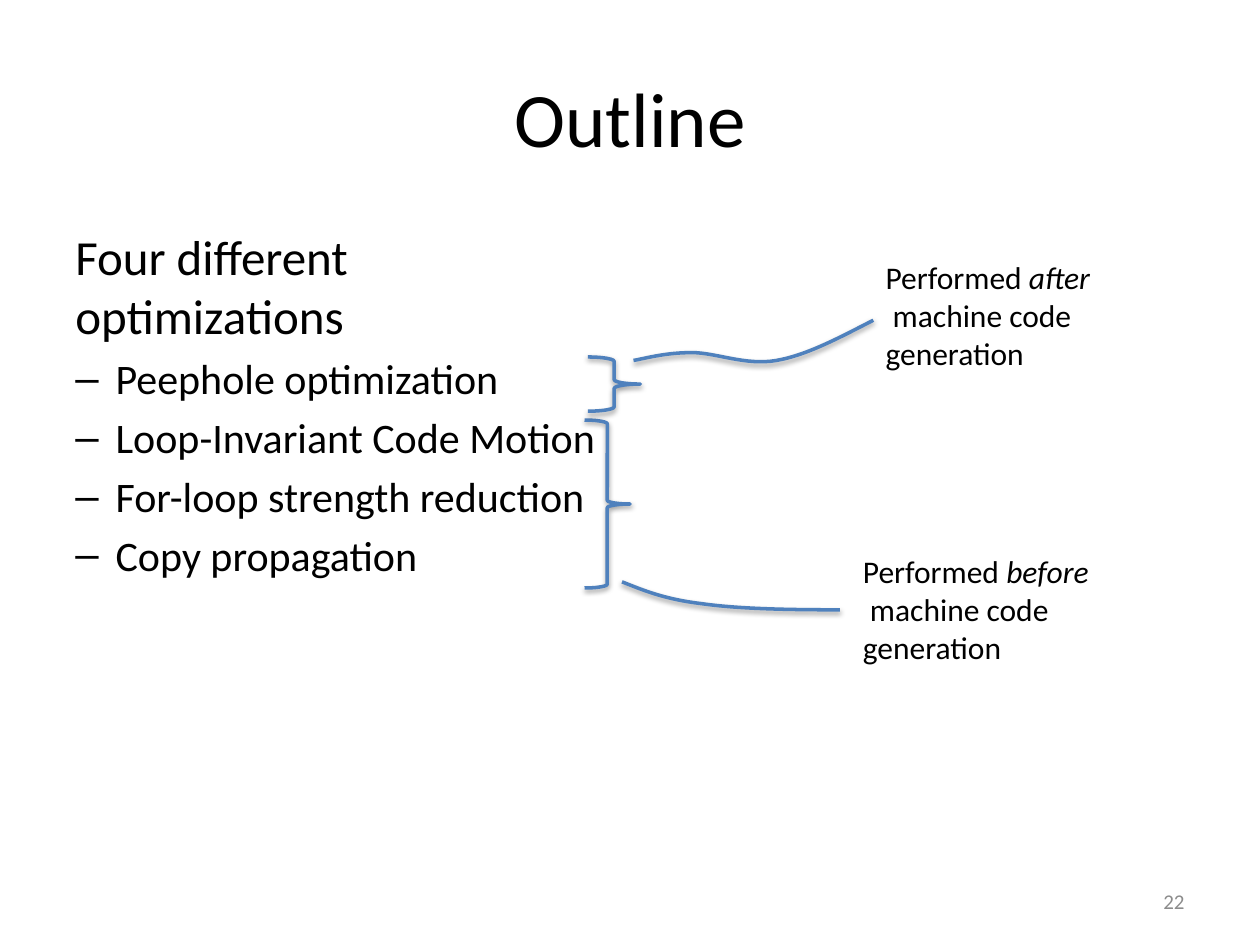
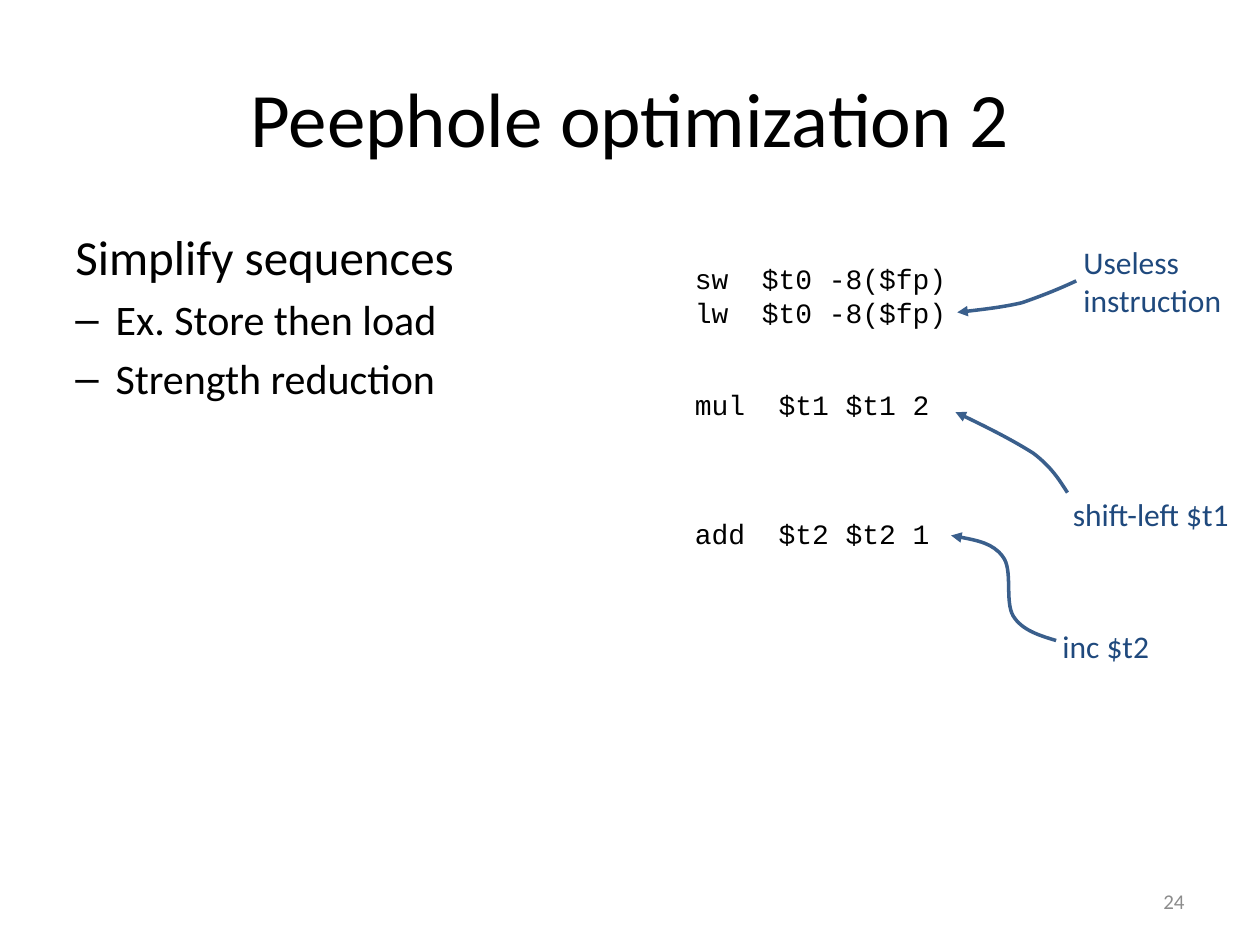
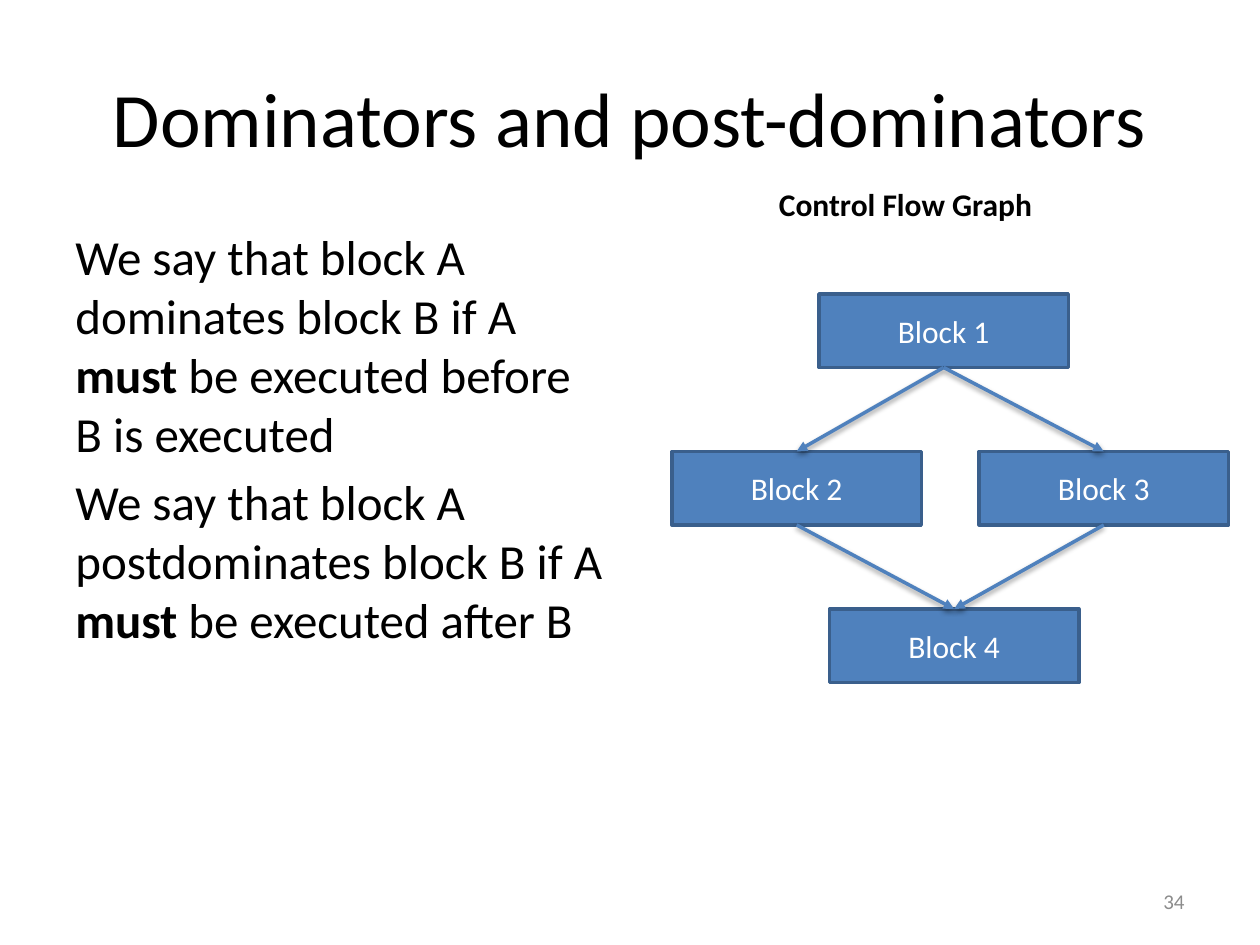
from dataclasses import dataclass

from lxml import etree
from pptx import Presentation
from pptx import util as u
from pptx.dml.color import RGBColor
from pptx.enum import shapes, text
from pptx.oxml.ns import qn

Pt = u.Pt


@dataclass(frozen=True)
class Theme:
    font: str = "Calibri"
    code_font: str = "Courier New"
    ink: str = "000000"
    muted: str = "8C8C8C"
    note: str = "1F497D"
    accent: str = "4F81BD"
    accent_dark: str = "3A5F8C"
    light: str = "FFFFFF"
    title_size: int = 44
    body_size: int = 28
    bullet_size: int = 24
    label_size: int = 18
    code_size: int = 16
    number_size: int = 12
    line_width: int = 2
    bullet_indent: int = 23


THEME = Theme()
BLOCK_WIDTH, BLOCK_HEIGHT = 142.5, 42
BLOCK_TOP, BLOCK_PITCH = 168, 90


def add_child(parent, tag, **attributes):
    return etree.SubElement(parent, qn(tag), {key: str(value) for key, value in attributes.items()})


def style_font(para, size, color=THEME.ink, name=THEME.font):
    para.font.name = name
    para.font.size = Pt(size)
    para.font.color.rgb = RGBColor.from_string(color)


def add_spans(para, content):
    spans = [(content, "")] if isinstance(content, str) else content
    for words, emphasis in spans:
        span = para.add_run()
        span.text = words
        if emphasis == "bold":
            span.font.bold = True
        elif emphasis == "italic":
            span.font.italic = True


def next_paragraph(frame, index):
    return frame.add_paragraph() if index else frame.paragraphs[0]


def add_box(page, left, top, width, height, wrap=False):
    box = page.shapes.add_textbox(Pt(left), Pt(top), Pt(width), Pt(height))
    box.text_frame.word_wrap = wrap
    return box


def add_label(page, left, top, width, height, lines, **font):
    box = add_box(page, left, top, width, height)
    for index, line in enumerate(lines):
        para = next_paragraph(box.text_frame, index)
        style_font(para, **{"size": THEME.label_size, **font})
        add_spans(para, line)


def add_code(page, top, height, lines):
    add_label(page, 390, top, 160, height, lines, size=THEME.code_size, name=THEME.code_font)


def add_note(page, left, top, width, height, lines):
    add_label(page, left, top, width, height, lines, color=THEME.note)


def make_bullet(para):
    props = para._p.get_or_add_pPr()
    indent = Pt(THEME.bullet_indent)
    props.set("marL", str(indent))
    props.set("indent", str(-indent))
    add_child(props, "a:buFont", typeface="Arial")
    add_child(props, "a:buChar", char="–")


def add_body(page, statements, bullets=()):
    frame = add_box(page, 36, 126, 318, 356, wrap=True).text_frame
    for index, content in enumerate([*statements, *bullets]):
        is_bullet = index >= len(statements)
        size = THEME.bullet_size if is_bullet else THEME.body_size
        para = next_paragraph(frame, index)
        para.space_before = Pt(size * 0.2)
        if is_bullet:
            make_bullet(para)
        style_font(para, size)
        add_spans(para, content)


def add_page(deck, title, number):
    page = deck.slides.add_slide(deck.slide_layouts[5])
    heading = page.shapes.title
    heading.left, heading.top = Pt(36), Pt(21.6)
    heading.width, heading.height = Pt(648), Pt(90)
    frame = heading.text_frame
    frame.text = title
    frame.auto_size = text.MSO_AUTO_SIZE.NONE
    frame.vertical_anchor = text.MSO_ANCHOR.MIDDLE
    frame.paragraphs[0].alignment = text.PP_ALIGN.CENTER
    style_font(frame.paragraphs[0], THEME.title_size)

    frame = add_box(page, 516, 500.5, 168, 28.75, wrap=True).text_frame
    frame.vertical_anchor = text.MSO_ANCHOR.MIDDLE
    para = frame.paragraphs[0]
    para.text = str(number)
    para.alignment = text.PP_ALIGN.RIGHT
    style_font(para, THEME.number_size, THEME.muted)
    return page


def style_line(shape, color, arrow=False, shadow=False):
    shape.line.color.rgb = RGBColor.from_string(color)
    shape.line.width = Pt(THEME.line_width)
    if arrow:
        add_child(shape.line._get_or_add_ln(), "a:tailEnd", type="triangle")
    effects = add_child(shape._element.spPr, "a:effectLst")
    if shadow:
        outer = add_child(effects, "a:outerShdw", blurRad=Pt(3.1), dist=Pt(1.6),
                          dir=5400000, rotWithShape=0)
        add_child(add_child(outer, "a:srgbClr", val="000000"), "a:alpha", val=38000)


def add_curve(page, points, color, **line):
    start, *rest = [(Pt(x), Pt(y)) for x, y in points]
    builder = page.shapes.build_freeform(*start)
    builder.add_line_segments(rest, close=False)
    curve = builder.convert_to_shape()
    outline = next(curve._element.iter(qn("a:path")))
    segments = outline.findall(qn("a:lnTo"))
    for first in range(0, len(segments), 3):
        bezier = add_child(outline, "a:cubicBezTo")
        for segment in segments[first:first + 3]:
            bezier.append(segment[0])
            outline.remove(segment)
    curve.fill.background()
    style_line(curve, color, **line)


def add_brace(page, left, top, width, height):
    brace = page.shapes.add_shape(shapes.MSO_SHAPE.RIGHT_BRACE,
                                  Pt(left), Pt(top), Pt(width), Pt(height))
    brace.fill.background()
    style_line(brace, THEME.accent, shadow=True)


def add_block(page, name, left, row):
    block = page.shapes.add_shape(shapes.MSO_SHAPE.RECTANGLE, Pt(left),
                                  Pt(BLOCK_TOP + row * BLOCK_PITCH),
                                  Pt(BLOCK_WIDTH), Pt(BLOCK_HEIGHT))
    block.fill.solid()
    block.fill.fore_color.rgb = RGBColor.from_string(THEME.accent)
    style_line(block, THEME.accent_dark)
    block.text_frame.vertical_anchor = text.MSO_ANCHOR.MIDDLE
    para = block.text_frame.paragraphs[0]
    para.text = name
    para.alignment = text.PP_ALIGN.CENTER
    style_font(para, THEME.label_size, THEME.light)
    return block


def add_flow(page, source, target):
    arrow = page.shapes.add_connector(shapes.MSO_CONNECTOR.STRAIGHT, 0, 0, 0, 0)
    arrow.begin_connect(source, 2)
    arrow.end_connect(target, 0)
    style_line(arrow, THEME.accent, arrow=True, shadow=True)


def build_outline(deck):
    page = add_page(deck, "Outline", 22)
    add_body(page, ["Four different optimizations"],
             ["Peephole optimization", "Loop-Invariant Code Motion",
              "For-loop strength reduction", "Copy propagation"])
    add_brace(page, 334, 240, 26, 96)
    add_brace(page, 336, 204, 30, 31)
    for points in (
        [(355.5, 332.5), (368, 337.5), (380, 342.5), (401, 345),
         (422, 348), (450.5, 348.5), (480, 348.5)],
        [(499, 183), (479.5, 193), (461, 203), (443.5, 206), (426, 209),
         (409, 201.5), (395.5, 201.5), (381.5, 201.5), (372, 204), (362, 206)],
    ):
        add_curve(page, points, THEME.accent, shadow=True)
    for left, top, width, moment in ((499, 144, 132.5, "after"), (486, 312, 145.5, "before")):
        add_label(page, left, top, width, 72.75,
                  [[("Performed ", ""), (moment, "italic")], " machine code", "generation"])


def build_peephole(deck):
    page = add_page(deck, "Peephole optimization 2", 24)
    add_body(page, ["Simplify sequences"], ["Ex. Store then load", "Strength reduction"])
    add_code(page, 146, 46, ["sw  $t0 -8($fp)", "lw  $t0 -8($fp)"])
    add_code(page, 218, 26.6, ["mul  $t1 $t1 2"])
    add_code(page, 291.5, 26.6, ["add  $t2 $t2 1"])
    add_note(page, 612, 135.5, 94.5, 51, ["Useless", "instruction"])
    add_note(page, 606, 279.5, 106, 29, ["shift-left $t1"])
    add_note(page, 600, 355, 65, 29, ["inc $t2"])
    for points in (
        [(615, 160.5), (605.5, 165), (595.5, 169), (584, 173),
         (573, 175.5), (560, 177), (547, 178.5)],
        [(610, 281.5), (605.5, 274.5), (601, 267), (590.5, 259),
         (579.5, 252), (563, 243.5), (546, 235.5)],
        [(603.5, 366), (593.5, 363), (584, 360), (579, 352), (574, 343.5),
         (579, 325.5), (573, 318), (567.5, 310.5), (555, 308), (543.5, 306)],
    ):
        add_curve(page, points, THEME.accent_dark, arrow=True)


def build_dominators(deck):
    page = add_page(deck, "Dominators and post-dominators", 34)
    add_body(page, [
        [(f"We say that block A {relation} block B if A ", ""), ("must", "bold"), (ending, "")]
        for relation, ending in (("dominates", " be executed before B is executed"),
                                 ("postdominates", " be executed after B"))
    ])
    add_label(page, 438, 102, 186, 29, [[("Control Flow Graph", "bold")]])
    entry = add_block(page, "Block 1", 468, 0)
    branches = [add_block(page, "Block 2", 384, 1), add_block(page, "Block 3", 559.5, 1)]
    merge = add_block(page, "Block 4", 474, 2)
    for branch in branches:
        add_flow(page, entry, branch)
        add_flow(page, branch, merge)


def main():
    deck = Presentation()
    deck.slide_width, deck.slide_height = Pt(720), Pt(540)
    build_outline(deck)
    build_peephole(deck)
    build_dominators(deck)
    deck.save("out.pptx")


if __name__ == "__main__":
    main()
